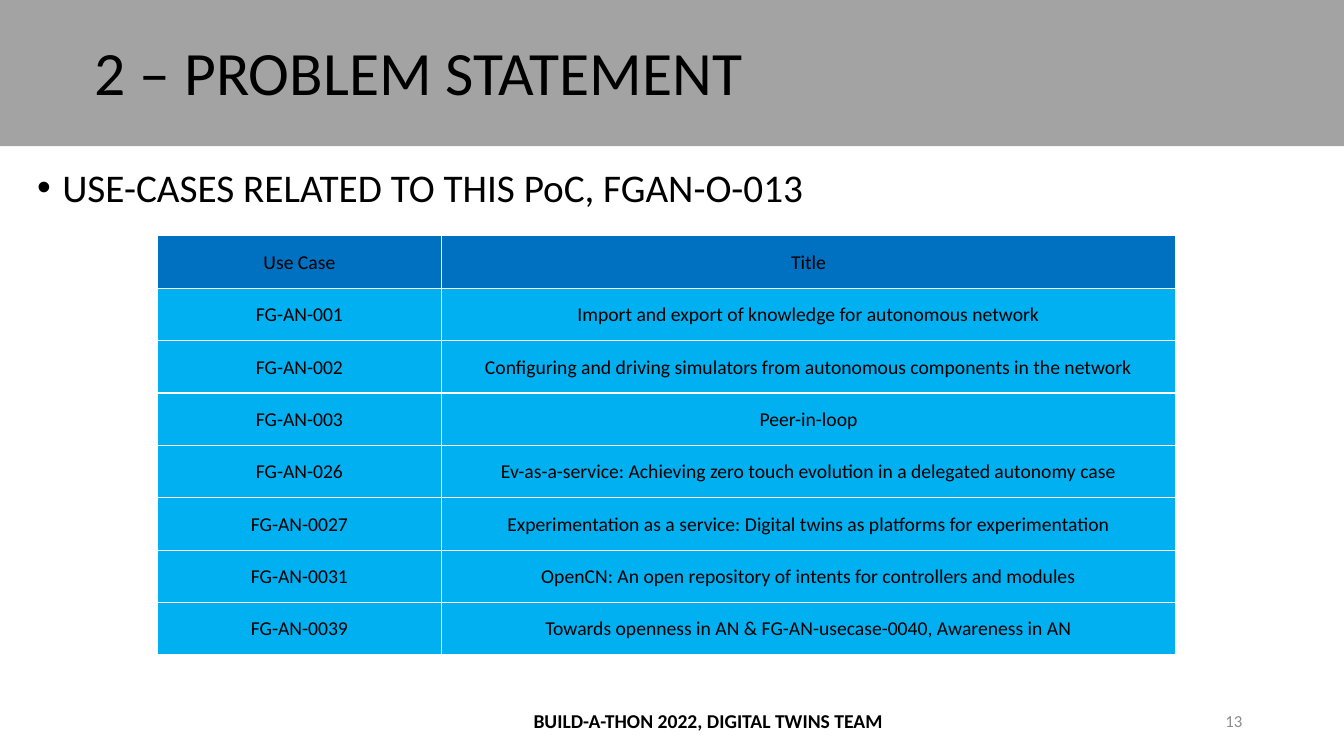
from lxml.etree import SubElement
from pptx import Presentation
from pptx.dml.color import RGBColor
from pptx.enum.shapes import MSO_SHAPE
from pptx.enum.text import MSO_ANCHOR, PP_ALIGN
from pptx.oxml.ns import qn
from pptx.util import Inches, Pt

BLACK = RGBColor(0x00, 0x00, 0x00)
BANNER_GRAY = RGBColor(0xA3, 0xA3, 0xA3)
NUMBER_GRAY = RGBColor(0x8C, 0x8C, 0x8C)
HEADER_BLUE = RGBColor(0x00, 0x70, 0xC0)
BODY_BLUE = RGBColor(0x00, 0xB0, 0xF0)

USE_CASES = [
    ("Use Case", "Title"),
    ("FG-AN-001", "Import and export of knowledge for autonomous network"),
    ("FG-AN-002", "Configuring and driving simulators from autonomous components in the network"),
    ("FG-AN-003", "Peer-in-loop"),
    ("FG-AN-026", "Ev-as-a-service: Achieving zero touch evolution in a delegated autonomy case"),
    ("FG-AN-0027", "Experimentation as a service: Digital twins as platforms for experimentation"),
    ("FG-AN-0031", "OpenCN: An open repository of intents for controllers and modules"),
    ("FG-AN-0039", "Towards openness in AN & FG-AN-usecase-0040, Awareness in AN"),
]
COLUMN_WIDTHS = [Inches(2.82), Inches(7.28)]
ROW_HEIGHT = Inches(0.52)


def style_paragraph(para, size, color=BLACK, align=PP_ALIGN.LEFT):
    para.alignment = align
    para.font.name = "Calibri"
    para.font.size = Pt(size)
    para.font.color.rgb = color


def add_text(left, top, width, height, text, anchor=MSO_ANCHOR.MIDDLE):
    """Add a wrapping text box and return its only paragraph."""
    box = slide.shapes.add_textbox(Inches(left), Inches(top), Inches(width), Inches(height))
    box.text_frame.word_wrap = True
    box.text_frame.vertical_anchor = anchor
    para = box.text_frame.paragraphs[0]
    para.text = text
    return para


deck = Presentation()
deck.slide_width, deck.slide_height = Inches(13.33), Inches(7.5)
slide = deck.slides.add_slide(deck.slide_layouts[6])

banner = slide.shapes.add_shape(MSO_SHAPE.RECTANGLE, 0, 0, deck.slide_width, Inches(1.45))
banner.shadow.inherit = False
banner.fill.solid()
banner.fill.fore_color.rgb = BANNER_GRAY
banner.line.fill.background()

title = add_text(0.84, 0.02, 11.5, 1.45, "2 – PROBLEM STATEMENT")
title.line_spacing = 0.9
style_paragraph(title, 44)

footer = add_text(4.42, 6.95, 5.21, 0.4, "BUILD-A-THON 2022, DIGITAL TWINS TEAM")
style_paragraph(footer, 14, align=PP_ALIGN.CENTER)
footer.font.bold = True

page_number = add_text(9.42, 6.95, 3, 0.4, "13")
style_paragraph(page_number, 12, NUMBER_GRAY, PP_ALIGN.RIGHT)

bullet = add_text(0.27, 1.62, 11.5, 4.76, "USE-CASES RELATED TO THIS PoC, FGAN-O-013", MSO_ANCHOR.TOP)
bullet.line_spacing = 0.9
bullet_properties = bullet._p.get_or_add_pPr()
bullet_properties.set("marL", str(Inches(0.25)))
bullet_properties.set("indent", str(-Inches(0.25)))
SubElement(bullet_properties, qn("a:buFont"), typeface="Arial")
SubElement(bullet_properties, qn("a:buChar"), char="•")
style_paragraph(bullet, 28)

table = slide.shapes.add_table(
    len(USE_CASES), len(COLUMN_WIDTHS), Inches(1.56), Inches(2.34),
    sum(COLUMN_WIDTHS), ROW_HEIGHT * len(USE_CASES)).table
table.first_row = False
table.horz_banding = False
for column, width in zip(table.columns, COLUMN_WIDTHS):
    column.width = width

for row_index, texts in enumerate(USE_CASES):
    table.rows[row_index].height = ROW_HEIGHT
    for column_index, text in enumerate(texts):
        cell = table.cell(row_index, column_index)
        cell.text = text
        cell.vertical_anchor = MSO_ANCHOR.MIDDLE
        cell.margin_left = cell.margin_right = cell.margin_top = Inches(0.01)
        cell.margin_bottom = 0
        style_paragraph(cell.text_frame.paragraphs[0], 14, align=PP_ALIGN.CENTER)
        cell_properties = cell._tc.get_or_add_tcPr()
        for side in ("lnL", "lnR", "lnT", "lnB"):
            border = SubElement(cell_properties, qn(f"a:{side}"), w=str(Pt(1)))
            SubElement(SubElement(border, qn("a:solidFill")), qn("a:srgbClr"), val="FFFFFF")
        cell.fill.solid()
        cell.fill.fore_color.rgb = BODY_BLUE if row_index else HEADER_BLUE

deck.save("out.pptx")
